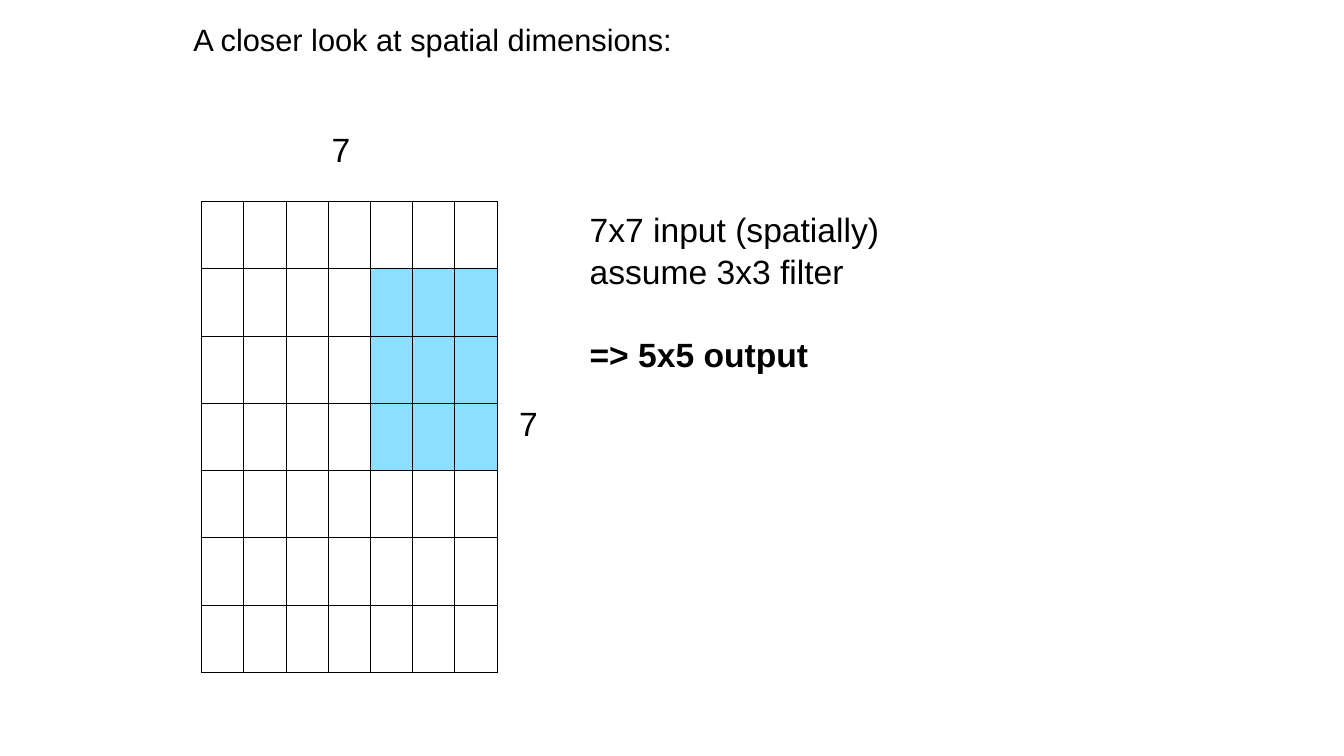
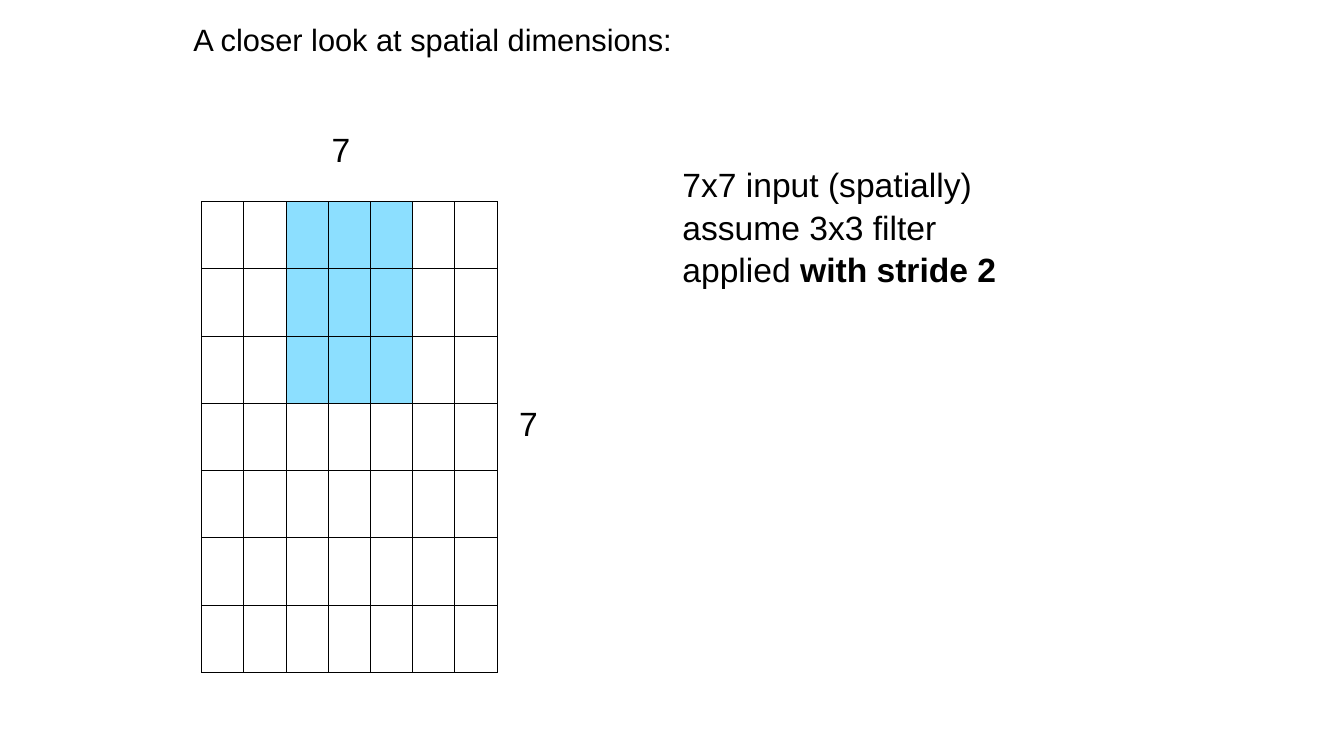
from dataclasses import dataclass

from lxml import etree
from pptx import Presentation
from pptx.dml.color import RGBColor
from pptx.enum.text import MSO_ANCHOR
from pptx.oxml.ns import qn
from pptx.slide import Slide
from pptx.util import Emu, Pt

EMU_PER_PX = 9144
BLANK_LAYOUT = 6
TOP = MSO_ANCHOR.TOP
BLACK = RGBColor(0x00, 0x00, 0x00)
WHITE = RGBColor(0xFF, 0xFF, 0xFF)
FILTER_BLUE = RGBColor(0x8C, 0xDF, 0xFF)

FONT_NAME = "Arial"
BODY_SIZE = 24
TITLE_SIZE = 22
LINE_SPACING = 1.05
LINE_GAP = Pt(29)
BORDER_WIDTH = Pt(0.75)
BORDER_TAGS = ("a:lnL", "a:lnR", "a:lnT", "a:lnB")

GRID_COUNT = 7
FILTER_COUNT = 3


@dataclass(frozen=True)
class Box:
    left: int
    top: int
    width: int
    height: int


@dataclass(frozen=True)
class TextRun:
    text: str
    bold: bool = False


@dataclass(frozen=True)
class TextLine:
    runs: tuple[TextRun, ...]
    gap_before: bool = False


@dataclass(frozen=True)
class TextBlock:
    box: Box
    lines: tuple[TextLine, ...]
    size: int = BODY_SIZE


@dataclass(frozen=True)
class FilterSlide:
    explanation: TextBlock
    filter_row: int
    filter_column: int


def plain(text: str) -> TextLine:
    return TextLine((TextRun(text),))


GRID_BOX = Box(200, 200, 293, 467)
INPUT_LINES = (plain("7x7 input (spatially)"), plain("assume 3x3 filter"))
SHARED_BLOCKS = (
    TextBlock(Box(319, 116, 60, 67), (plain("7"),)),
    TextBlock(Box(505, 388, 64, 42), (plain("7"),)),
    TextBlock(
        Box(182, 9, 916, 88),
        (plain("A closer look at spatial dimensions:"),),
        TITLE_SIZE,
    ),
)
FILTER_SLIDES = (
    FilterSlide(
        TextBlock(
            Box(575, 195, 560, 268),
            (*INPUT_LINES, TextLine((TextRun("=> 5x5 output", True),), True)),
        ),
        filter_row=1,
        filter_column=4,
    ),
    FilterSlide(
        TextBlock(
            Box(667, 151, 560, 268),
            (
                *INPUT_LINES,
                TextLine((TextRun("applied "), TextRun("with stride 2", True))),
            ),
        ),
        filter_row=0,
        filter_column=2,
    ),
)


def px(value: int) -> Emu:
    return Emu(value * EMU_PER_PX)


def set_attributes(target: object, values: dict[str, object]) -> None:
    for name, value in values.items():
        setattr(target, name, value)


def place(box: Box) -> tuple[Emu, Emu, Emu, Emu]:
    return px(box.left), px(box.top), px(box.width), px(box.height)


def add_text(slide: Slide, block: TextBlock) -> None:
    frame = slide.shapes.add_textbox(*place(block.box)).text_frame
    margins = ("margin_left", "margin_top", "margin_right", "margin_bottom")
    set_attributes(frame, dict.fromkeys(margins, px(10)))
    set_attributes(frame, {"word_wrap": True, "vertical_anchor": TOP})
    for index, line in enumerate(block.lines):
        paragraph = frame.add_paragraph() if index else frame.paragraphs[0]
        paragraph.line_spacing = LINE_SPACING
        if line.gap_before:
            paragraph.space_before = LINE_GAP
        for text_run in line.runs:
            run = paragraph.add_run()
            run.text = text_run.text
            run.font.color.rgb = BLACK
            set_attributes(
                run.font,
                {"name": FONT_NAME, "size": Pt(block.size), "bold": text_run.bold},
            )


def add_cell_borders(cell: object) -> None:
    properties = cell._tc.get_or_add_tcPr()
    for tag in BORDER_TAGS:
        border = etree.SubElement(properties, qn(tag), w=str(BORDER_WIDTH))
        fill = etree.SubElement(border, qn("a:solidFill"))
        etree.SubElement(fill, qn("a:srgbClr"), val=str(BLACK))


def add_input_grid(slide: Slide, filter_row: int, filter_column: int) -> None:
    table = slide.shapes.add_table(GRID_COUNT, GRID_COUNT, *place(GRID_BOX)).table
    set_attributes(table, {"first_row": False, "horz_banding": False})
    filter_rows = range(filter_row, filter_row + FILTER_COUNT)
    filter_columns = range(filter_column, filter_column + FILTER_COUNT)
    for row in range(GRID_COUNT):
        for column in range(GRID_COUNT):
            cell = table.cell(row, column)
            covered = row in filter_rows and column in filter_columns
            add_cell_borders(cell)
            cell.fill.solid()
            cell.fill.fore_color.rgb = FILTER_BLUE if covered else WHITE


def add_filter_slide(presentation: Presentation, content: FilterSlide) -> None:
    slide = presentation.slides.add_slide(presentation.slide_layouts[BLANK_LAYOUT])
    for block in (content.explanation, *SHARED_BLOCKS):
        add_text(slide, block)
    add_input_grid(slide, content.filter_row, content.filter_column)


def main() -> None:
    presentation = Presentation()
    set_attributes(
        presentation, {"slide_width": px(1333), "slide_height": px(750)}
    )
    for content in FILTER_SLIDES:
        add_filter_slide(presentation, content)
    presentation.save("out.pptx")


if __name__ == "__main__":
    main()
